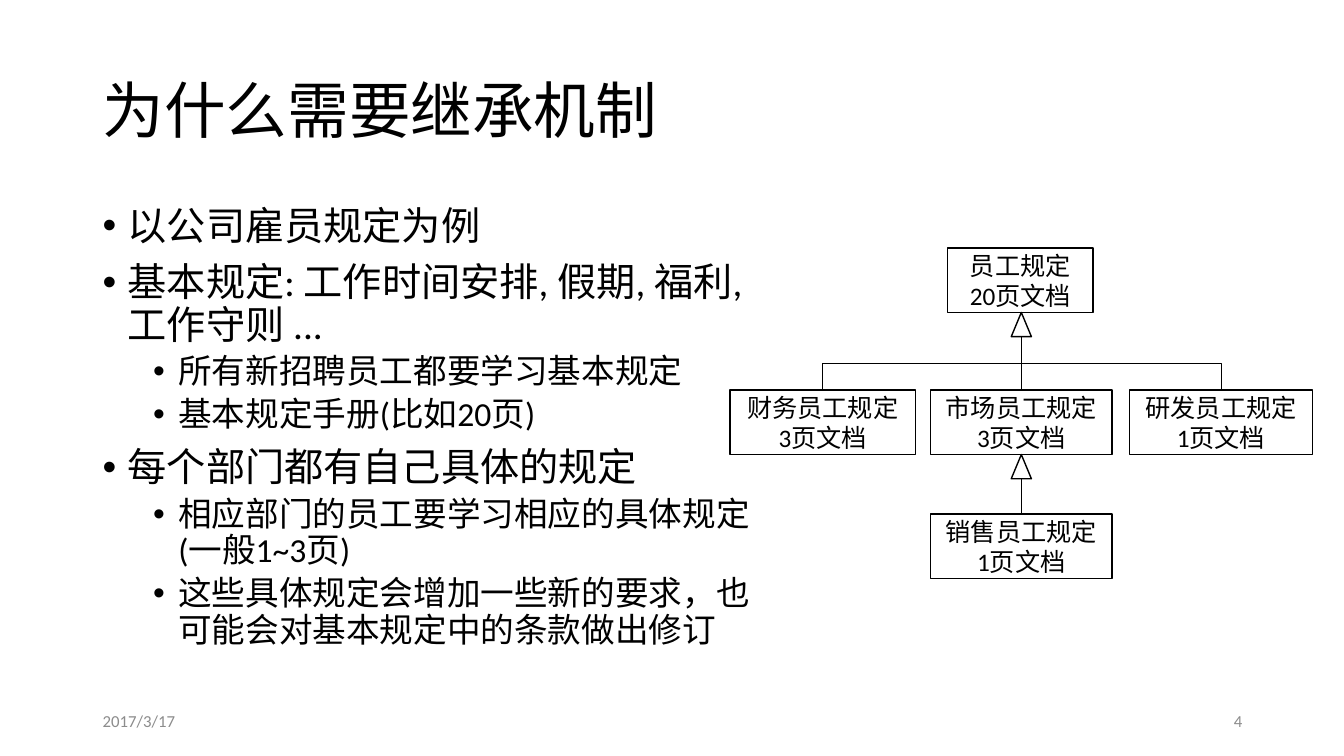
from dataclasses import dataclass

import lxml.etree
import pptx
import pptx.dml.color
import pptx.enum.shapes
import pptx.enum.text
import pptx.oxml.ns
import pptx.util

PX = 9144
BLACK, WHITE, GRAY = "000000", "FFFFFF", "8C8C8C"
LEFT = pptx.enum.text.PP_ALIGN.LEFT
CENTER = pptx.enum.text.PP_ALIGN.CENTER
RIGHT = pptx.enum.text.PP_ALIGN.RIGHT
TOP = pptx.enum.text.MSO_ANCHOR.TOP
MIDDLE = pptx.enum.text.MSO_ANCHOR.MIDDLE
SHAPE = pptx.enum.shapes.MSO_SHAPE
CONNECTOR = pptx.enum.shapes.MSO_CONNECTOR


@dataclass(frozen=True)
class Label:
    text: str
    x: int
    y: int
    w: int
    h: int
    size: int
    color: str = BLACK
    align: int = LEFT
    anchor: int = MIDDLE
    spacing: float = 1.0


@dataclass(frozen=True)
class Rule:
    text: str
    x: int
    y: int
    w: int
    h: int = 64


@dataclass(frozen=True)
class Bullet:
    text: str
    level: int = 0


TITLE = Label("为什么需要继承机制", 92, 40, 1150, 145, 44, spacing=0.9)
FOOTERS = [
    Label("2017/3/17", 92, 695, 300, 40, 12, GRAY),
    Label("4", 942, 695, 300, 40, 12, GRAY, RIGHT),
]
BULLETS = [
    Bullet("以公司雇员规定为例"),
    Bullet("基本规定: 工作时间安排, 假期, 福利, 工作守则 ..."),
    Bullet("所有新招聘员工都要学习基本规定", 1),
    Bullet("基本规定手册(比如20页)", 1),
    Bullet("每个部门都有自己具体的规定"),
    Bullet("相应部门的员工要学习相应的具体规定(一般1~3页)", 1),
    Bullet("这些具体规定会增加一些新的要求，也可能会对基本规定中的条款做出修订", 1),
]
STAFF = Rule("员工规定\n20页文档", 940, 246, 144)
FINANCE = Rule("财务员工规定\n3页文档", 724, 387, 184)
MARKET = Rule("市场员工规定\n3页文档", 923, 387, 180)
RESEARCH = Rule("研发员工规定\n1页文档", 1120, 387, 182)
SALES = Rule("销售员工规定\n1页文档", 923, 510, 180)
AXIS_X = MARKET.x + MARKET.w // 2
ARROW_W, ARROW_H = 20, 24


def px(value: float) -> int:
    return round(value * PX)


def rgb(color: str) -> pptx.dml.color.RGBColor:
    return pptx.dml.color.RGBColor.from_string(color)


def format_text(tf, size: int, color: str, align: int, spacing: float) -> None:
    for p in tf.paragraphs:
        p.alignment = align
        p.line_spacing = spacing
        for r in p.runs:
            r.font.size = pptx.util.Pt(size)
            r.font.name = "Calibri"
            r.font.color.rgb = rgb(color)


def add_label(s, label: Label):
    sp = s.shapes.add_textbox(px(label.x), px(label.y), px(label.w), px(label.h))
    tf = sp.text_frame
    tf.word_wrap = True
    tf.vertical_anchor = label.anchor
    tf.text = label.text
    format_text(tf, label.size, label.color, label.align, label.spacing)
    return sp


def add_bullets(s, bullets: list[Bullet]) -> None:
    text = "\n".join(b.text for b in bullets)
    sp = add_label(s, Label(text, 92, 200, 686, 476, 28, anchor=TOP, spacing=0.9))
    for p, bullet in zip(sp.text_frame.paragraphs, bullets):
        p.level = bullet.level
        p.space_before = pptx.util.Pt(5 if bullet.level else 10)
        for r in p.runs:
            r.font.size = pptx.util.Pt(28 - 4 * bullet.level)
        pPr = p._p.get_or_add_pPr()
        pPr.set("marL", str(px(25 + 50 * bullet.level)))
        pPr.set("indent", str(px(-25)))
        font = lxml.etree.SubElement(pPr, pptx.oxml.ns.qn("a:buFont"))
        font.set("typeface", "Arial")
        mark = lxml.etree.SubElement(pPr, pptx.oxml.ns.qn("a:buChar"))
        mark.set("char", "•")


def add_outline(s, kind, x: int, y: int, w: int, h: int):
    sp = s.shapes.add_shape(kind, px(x), px(y), px(w), px(h))
    sp.shadow.inherit = False
    sp.line.color.rgb = rgb(BLACK)
    sp.line.width = pptx.util.Pt(1)
    return sp


def add_rule(s, rule: Rule):
    sp = add_outline(s, SHAPE.RECTANGLE, rule.x, rule.y, rule.w, rule.h)
    sp.fill.solid()
    sp.fill.fore_color.rgb = rgb(WHITE)
    tf = sp.text_frame
    tf.word_wrap = False
    tf.vertical_anchor = MIDDLE
    tf.text = rule.text
    format_text(tf, 18, BLACK, CENTER, 1.0)
    return sp


def add_line(s, kind, x1: float, y1: float, x2: float, y2: float):
    c = s.shapes.add_connector(kind, px(x1), px(y1), px(x2), px(y2))
    c.line.color.rgb = rgb(BLACK)
    c.line.width = pptx.util.Pt(0.5)
    lxml.etree.SubElement(c.element.spPr, pptx.oxml.ns.qn("a:effectLst"))
    return c


def add_elbow(s, x1: int, y1: int, x2: int, y2: int) -> None:
    mid_x, mid_y = (x1 + x2) / 2, (y1 + y2) / 2
    run, rise = (x2 - x1) / 2, (y1 - y2) / 2
    c = add_line(s, CONNECTOR.ELBOW, mid_x - rise, mid_y - run, mid_x + rise, mid_y + run)
    c.element.spPr.find(pptx.oxml.ns.qn("a:xfrm")).set("rot", "16200000")


def add_inheritance(s, parent: Rule, child: Rule, child_box, siblings: list[Rule]) -> None:
    top = parent.y + parent.h
    base = top + ARROW_H
    sp = add_outline(s, SHAPE.ISOSCELES_TRIANGLE, AXIS_X - ARROW_W // 2, top, ARROW_W, ARROW_H)
    sp.fill.background()
    c = add_line(s, CONNECTOR.STRAIGHT, AXIS_X, child.y, AXIS_X, base)
    c.begin_connect(child_box, 0)
    for sibling in siblings:
        add_elbow(s, sibling.x + sibling.w // 2, sibling.y, AXIS_X, base)


def main() -> None:
    prs = pptx.Presentation()
    prs.slide_width, prs.slide_height = px(1333), px(750)
    s = prs.slides.add_slide(prs.slide_layouts[6])
    add_label(s, TITLE)
    add_bullets(s, BULLETS)
    boxes = {rule: add_rule(s, rule) for rule in (STAFF, FINANCE, MARKET, RESEARCH, SALES)}
    add_inheritance(s, STAFF, MARKET, boxes[MARKET], [FINANCE, RESEARCH])
    add_inheritance(s, MARKET, SALES, boxes[SALES], [])
    for footer in FOOTERS:
        add_label(s, footer)
    prs.save("out.pptx")


if __name__ == "__main__":
    main()
